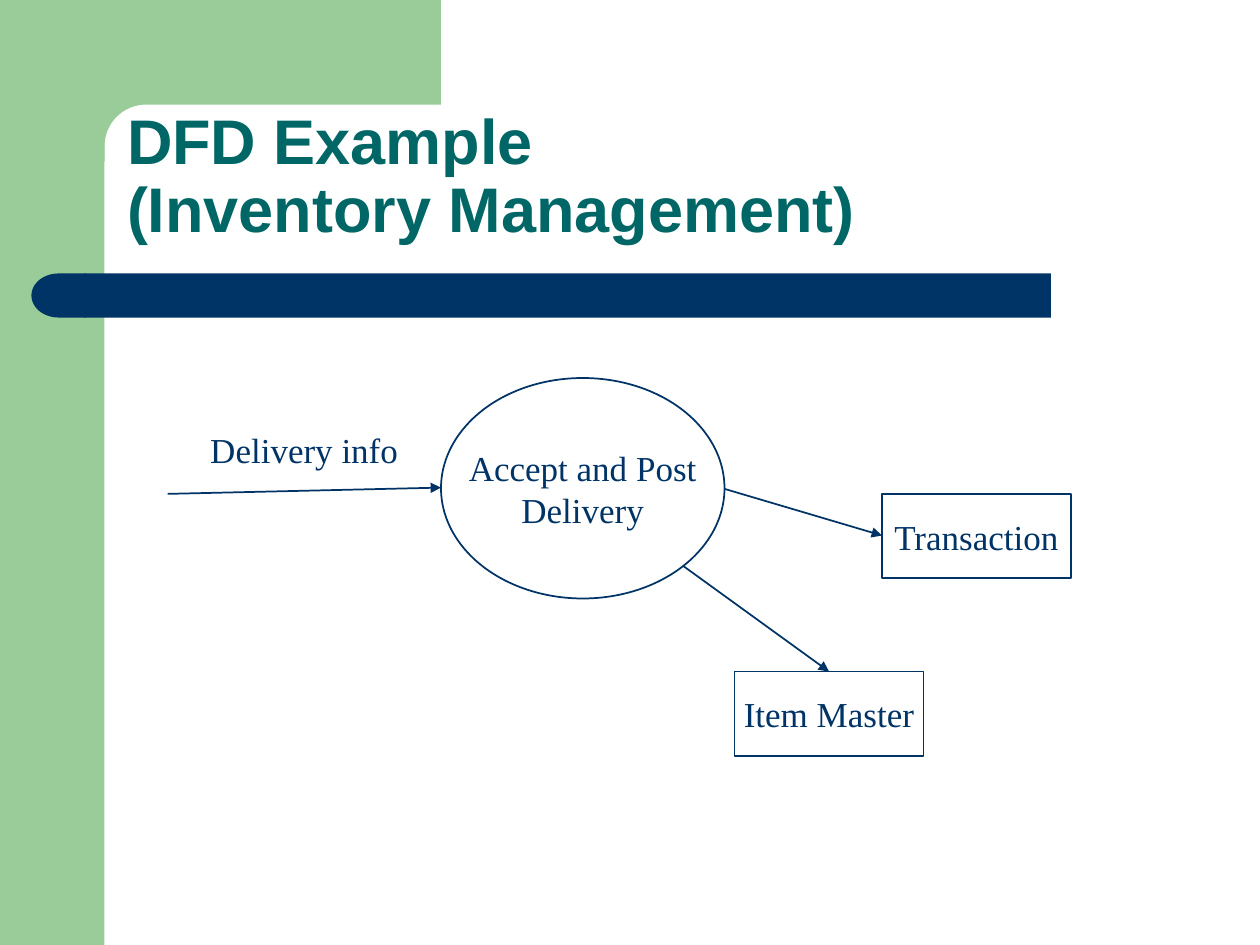
import math
from pptx import Presentation
from pptx.dml.color import RGBColor
from pptx.enum.shapes import MSO_CONNECTOR, MSO_SHAPE
from pptx.enum.text import MSO_ANCHOR, MSO_AUTO_SIZE, PP_ALIGN
from pptx.oxml.ns import qn
from pptx.util import Inches, Pt
from lxml import etree

RECTANGLE, OVAL, DELAY = MSO_SHAPE.RECTANGLE, MSO_SHAPE.OVAL, MSO_SHAPE.FLOWCHART_DELAY
ROUNDED = MSO_SHAPE.ROUNDED_RECTANGLE
STRAIGHT = MSO_CONNECTOR.STRAIGHT
LEFT, CENTER = PP_ALIGN.LEFT, PP_ALIGN.CENTER
TOP, MIDDLE, BOTTOM = MSO_ANCHOR.TOP, MSO_ANCHOR.MIDDLE, MSO_ANCHOR.BOTTOM
GROW = MSO_AUTO_SIZE.SHAPE_TO_FIT_TEXT

COLORS = {"green": "99CC99", "navy": "003366", "teal": "006666"}
TITLE = ["DFD Example", "(Inventory Management)"]
FLOW_LABEL = ("Delivery info", (1.57, 3.35, 1.69, 0.44))
NODES = [
    (OVAL, (3.5, 3, 2.25, 1.75), ["Accept and Post", "Delivery"]),
    (RECTANGLE, (5.83, 5.33, 1.5, 0.67), ["Item Master"]),
    (RECTANGLE, (7, 3.92, 1.5, 0.67), ["Transaction"]),
]
FLOWS = [
    ((1.33, 3.92), (3.5, 3.87)),
    ((5.42, 4.49), (6.58, 5.33)),
    ((5.75, 3.88), (7, 4.25)),
]
CORNER_CENTER, CORNER_RADIUS, CORNER_STEPS = 1.16, 0.33, 16


def color(name):
    return RGBColor.from_string(COLORS[name])


def paint(shape, name):
    shape.shadow.inherit = False
    shape.fill.solid()
    shape.fill.fore_color.rgb = color(name)
    shape.line.fill.background()


def add_span(para, text, font="Times New Roman", size=20, name="navy", bold=False):
    span = para.add_run()
    span.text = text
    span.font.name = font
    span.font.size = Pt(size)
    span.font.bold = bold
    span.font.color.rgb = color(name)


def add_lines(frame, lines, align, anchor):
    frame.word_wrap = False
    frame.vertical_anchor = anchor
    for index, line in enumerate(lines):
        para = frame.add_paragraph() if index else frame.paragraphs[0]
        para.alignment = align
        add_span(para, line)


def add_block(page, kind, place, name):
    block = page.shapes.add_shape(kind, *map(Inches, place))
    paint(block, name)
    return block


def add_corner(page):
    angles = [math.pi / 2 * step / CORNER_STEPS for step in range(CORNER_STEPS + 1)]
    curve = [(CORNER_CENTER - CORNER_RADIUS * math.sin(angle),
              CORNER_CENTER - CORNER_RADIUS * math.cos(angle)) for angle in angles]
    points = [(3.5, 0.83), *curve, (0.83, 1.28), (0.5, 1.28), (0.5, 0)]
    builder = page.shapes.build_freeform(Inches(3.5), 0)
    builder.add_line_segments([(Inches(x), Inches(y)) for x, y in points])
    paint(builder.convert_to_shape(), "green")


def add_title(page):
    frame = page.shapes.add_textbox(*map(Inches, (0.91, 0.91, 8.51, 1.09))).text_frame
    frame.word_wrap = True
    frame.vertical_anchor = BOTTOM
    para = frame.paragraphs[0]
    para.line_spacing = 0.9
    for index, line in enumerate(TITLE):
        if index:
            para.add_line_break()
        add_span(para, line, "Arial", 36, "teal", True)


def add_node(page, kind, place, lines):
    node = page.shapes.add_shape(kind, *map(Inches, place))
    node.shadow.inherit = False
    node.fill.background()
    node.line.color.rgb = color("navy")
    node.line.width = Pt(1)
    add_lines(node.text_frame, lines, CENTER, MIDDLE)


def add_flow(page, start, end):
    arrow = page.shapes.add_connector(STRAIGHT, *map(Inches, start + end))
    arrow.line.color.rgb = color("navy")
    arrow.line.width = Pt(1)
    etree.SubElement(arrow.line._get_or_add_ln(), qn("a:tailEnd"), type="triangle")
    etree.SubElement(arrow.element.spPr, qn("a:effectLst"))


def main():
    deck = Presentation()
    deck.slide_width, deck.slide_height = Inches(10), Inches(7.5)
    page = deck.slides.add_slide(deck.slide_layouts[6])

    add_block(page, RECTANGLE, (0, 0, 0.83, 7.5), "green")
    add_corner(page)
    bar = add_block(page, ROUNDED, (0.67, 2.17, 7.67, 0.35), "navy")
    bar.adjustments[0] = 0
    cap = add_block(page, DELAY, (0.25, 2.17, 0.43, 0.35), "navy")
    cap.element.spPr.get_or_add_xfrm().set("flipH", "1")
    add_title(page)

    for node in NODES:
        add_node(page, *node)
    for flow in FLOWS:
        add_flow(page, *flow)
    text, place = FLOW_LABEL
    label = page.shapes.add_textbox(*map(Inches, place))
    add_lines(label.text_frame, [text], LEFT, TOP)
    label.text_frame.auto_size = GROW

    deck.save("out.pptx")


if __name__ == "__main__":
    main()
